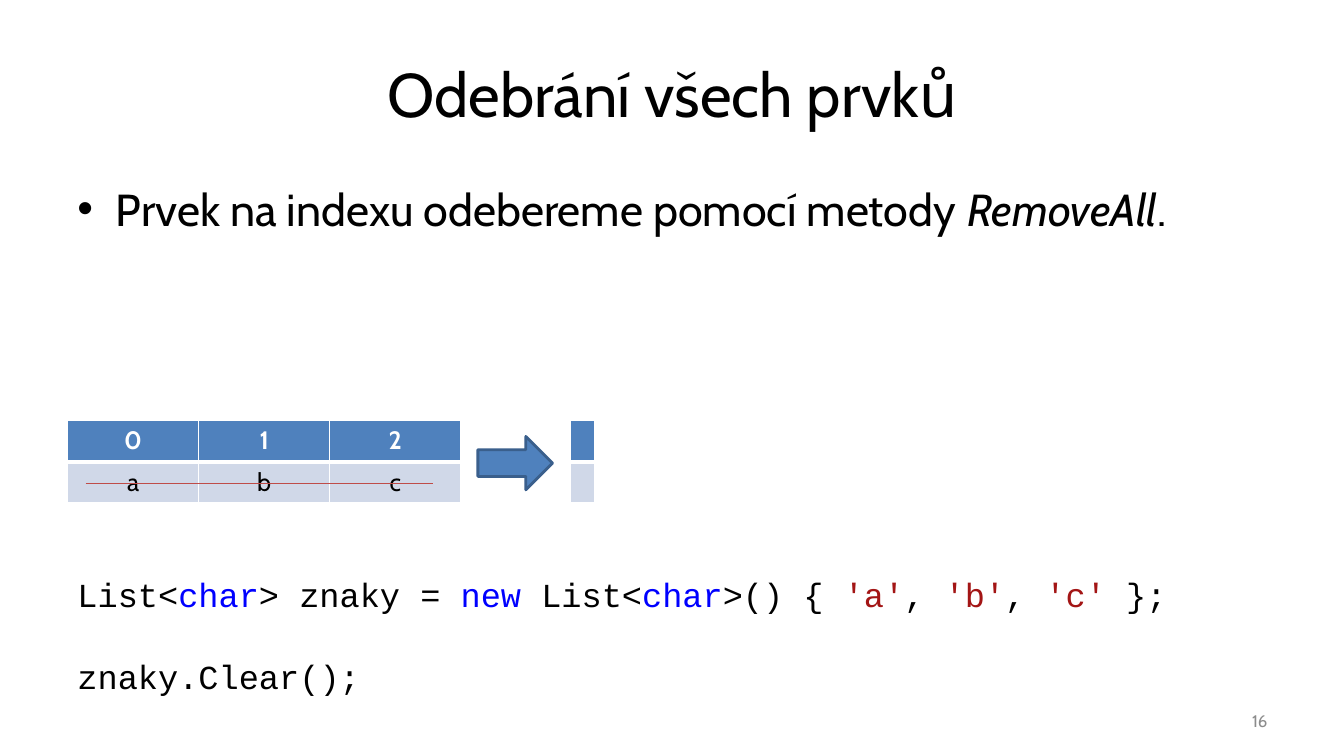
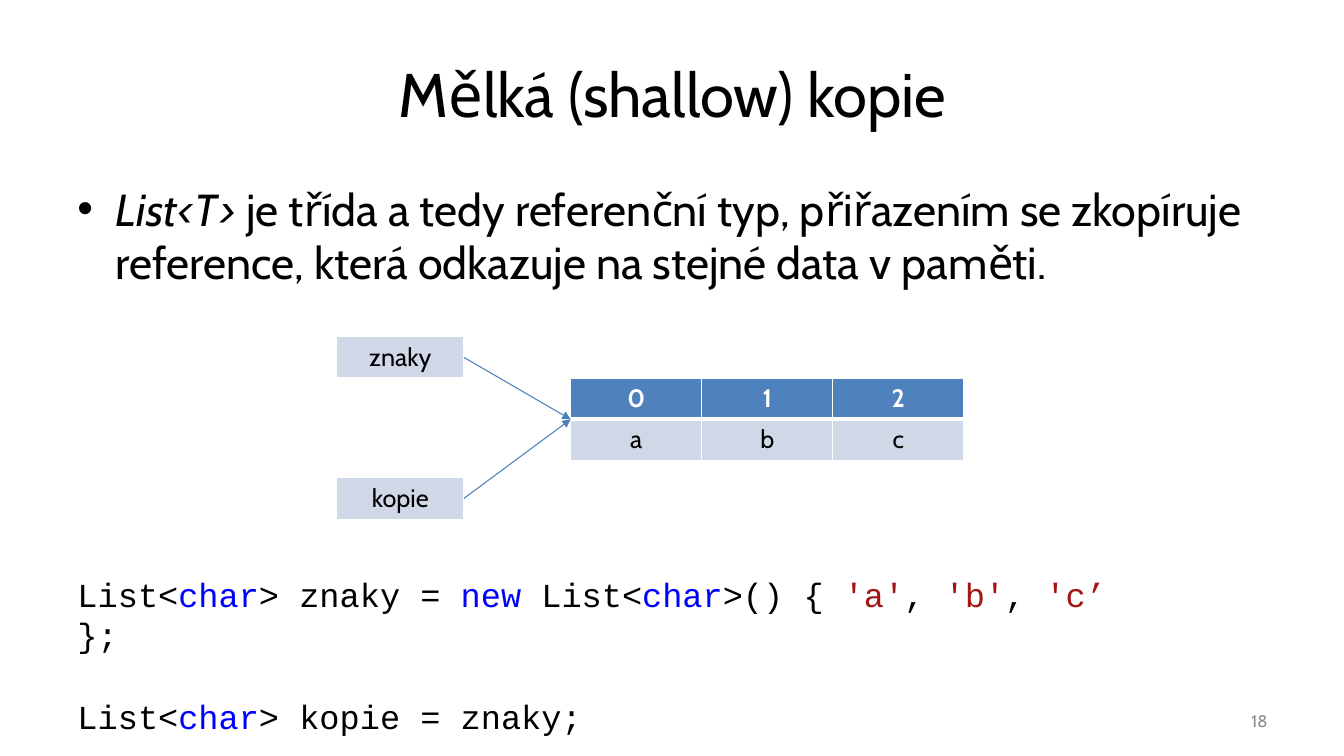
from dataclasses import dataclass

from lxml import etree
from pptx import Presentation
from pptx.dml.color import RGBColor
from pptx.enum import shapes, text
from pptx.oxml import ns
from pptx.util import Inches, Pt


@dataclass(frozen=True)
class Theme:
    font: str = "Cabin"
    code_font: str = "Courier New"
    title_size: int = 44
    body_size: int = 32
    code_size: int = 24
    cell_size: int = 18
    number_size: int = 12
    black: str = "000000"
    white: str = "FFFFFF"
    grey: str = "8C8C8C"
    header: str = "4F81BD"
    cell: str = "D0D8E8"
    arrow_edge: str = "3A5F8C"
    pointer: str = "4B7EBC"
    strike: str = "BF4C48"
    keyword: str = "0000FF"
    literal: str = "A31515"


THEME = Theme()
MARGIN, CONTENT_WIDTH = 0.67, 12
ROW_HEIGHT, COLUMN_WIDTH = 0.41, 1.3
RIGHT_TABLE_LEFT = 5.66
LABEL_LEFT, LABEL_WIDTH = 3.34, 1.26

PLAIN, KEYWORD, LITERAL = THEME.black, THEME.keyword, THEME.literal
LIST_GRID = [["0", "1", "2"], ["a", "b", "c"]]
EMPTY_GRID = [[""], [""]]


def declaration(last_literal):
    """Coloured runs of the line that creates the list."""
    return [
        ("List<", PLAIN), ("char", KEYWORD), ("> znaky = ", PLAIN),
        ("new", KEYWORD), (" List<", PLAIN), ("char", KEYWORD),
        (">() { ", PLAIN), ("'a'", LITERAL), (", ", PLAIN),
        ("'b'", LITERAL), (", ", PLAIN), (last_literal, LITERAL),
        (" };", PLAIN),
    ]


REMOVE_ALL = {
    "title": "Odebrání všech prvků",
    "bullet": [("Prvek na indexu odebereme pomocí metody ", False),
               ("RemoveAll", True), (".", False)],
    "number": "16",
    "code_width": 11.2,
    "code": [declaration("'c'"), [("znaky.Clear();", PLAIN)]],
}
SHALLOW_COPY = {
    "title": "Mělká (shallow) kopie",
    "bullet": [("List<T>", True),
               (" je třída a tedy referenční typ, přiřazením se zkopíruje "
                "reference, která odkazuje na stejné data v paměti.", False)],
    "number": "18",
    "code_width": 10.41,
    "code": [declaration("'c’"),
             [("List<", PLAIN), ("char", KEYWORD), ("> kopie = znaky;", PLAIN)]],
}
REFERENCES = [("znaky", 3.34), ("kopie", 4.74)]


def rgb(color):
    return RGBColor.from_string(color)


def add_span(para, words, size, color=THEME.black, font=THEME.font,
             bold=False, italic=False):
    span = para.add_run()
    span.text = words
    span.font.name, span.font.size = font, Pt(size)
    span.font.color.rgb = rgb(color)
    span.font.bold, span.font.italic = bold, italic


def add_box(page, left, top, width, height, anchor=text.MSO_ANCHOR.TOP):
    box = page.shapes.add_textbox(*map(Inches, (left, top, width, height)))
    box.text_frame.word_wrap = True
    box.text_frame.vertical_anchor = anchor
    return box.text_frame


def add_bullet(para):
    props = para._p.get_or_add_pPr()
    props.set("marL", str(Inches(0.38)))
    props.set("indent", str(Inches(-0.38)))
    etree.SubElement(props, ns.qn("a:buFont")).set("typeface", "Arial")
    etree.SubElement(props, ns.qn("a:buChar")).set("char", "•")


def set_borders(cell, top, bottom):
    """White borders; top and bottom are widths in points."""
    props = cell._tc.get_or_add_tcPr()
    widths = {"lnL": 1, "lnR": 1, "lnT": top, "lnB": bottom}
    for place, (tag, width) in enumerate(widths.items()):
        edge = etree.Element(ns.qn("a:" + tag), w=str(Pt(width)))
        fill = etree.SubElement(edge, ns.qn("a:solidFill"))
        etree.SubElement(fill, ns.qn("a:srgbClr")).set("val", THEME.white)
        props.insert(place, edge)


def add_grid(page, grid, left, top, column_width, has_header=True):
    rows, columns = len(grid), len(grid[0])
    table = page.shapes.add_table(
        rows, columns, Inches(left), Inches(top),
        Inches(column_width * columns), Inches(ROW_HEIGHT * rows)).table
    table.first_row, table.horz_banding = has_header, False
    for column in table.columns:
        column.width = Inches(column_width)
    for row, values in enumerate(grid):
        is_header = has_header and row == 0
        for column, value in enumerate(values):
            cell = table.cell(row, column)
            cell.fill.solid()
            cell.fill.fore_color.rgb = rgb(THEME.header if is_header else THEME.cell)
            set_borders(cell, top=3 if has_header and row == 1 else 1,
                        bottom=3 if is_header else 1)
            if value:
                para = cell.text_frame.paragraphs[0]
                para.alignment = text.PP_ALIGN.CENTER
                add_span(para, value, THEME.cell_size,
                         THEME.white if is_header else THEME.black, bold=is_header)


def add_line(page, start, end, color, arrowhead=False):
    line = page.shapes.add_connector(
        shapes.MSO_CONNECTOR.STRAIGHT, *map(Inches, (*start, *end)))
    line.line.color.rgb = rgb(color)
    line.line.width = Pt(0.75)
    if arrowhead:
        etree.SubElement(line.line._get_or_add_ln(),
                         ns.qn("a:tailEnd")).set("type", "triangle")
    etree.SubElement(line._element.spPr, ns.qn("a:effectLst"))


def add_page(deck, content):
    """Page with the shared title, bullet, page number and code."""
    page = deck.slides.add_slide(deck.slide_layouts[6])
    middle = text.MSO_ANCHOR.MIDDLE

    title = add_box(page, MARGIN, 0.3, CONTENT_WIDTH, 1.25, middle).paragraphs[0]
    title.alignment = text.PP_ALIGN.CENTER
    add_span(title, content["title"], THEME.title_size)

    bullet = add_box(page, MARGIN, 1.75, CONTENT_WIDTH, 1.25).paragraphs[0]
    add_bullet(bullet)
    for words, italic in content["bullet"]:
        add_span(bullet, words, THEME.body_size, italic=italic)

    number = add_box(page, 9.56, 6.95, 3.11, 0.4, middle).paragraphs[0]
    number.alignment = text.PP_ALIGN.RIGHT
    add_span(number, content["number"], THEME.number_size, THEME.grey)

    code = add_box(page, MARGIN, 5.64, content["code_width"], 1.31)
    for index, spans in enumerate(content["code"]):
        para = code.add_paragraph() if index else code.paragraphs[0]
        if index:
            para.space_before = Pt(30)
        for words, color in spans:
            add_span(para, words, THEME.code_size, color, THEME.code_font)
    return page


def build_remove_all(deck):
    page = add_page(deck, REMOVE_ALL)
    top = 4.17
    add_grid(page, LIST_GRID, MARGIN, top, COLUMN_WIDTH)
    add_grid(page, EMPTY_GRID, RIGHT_TABLE_LEFT, top, 0.23)

    arrow = page.shapes.add_shape(
        shapes.MSO_SHAPE.RIGHT_ARROW, *map(Inches, (4.74, 4.33, 0.74, 0.53)))
    arrow.shadow.inherit = False
    arrow.fill.solid()
    arrow.fill.fore_color.rgb = rgb(THEME.header)
    arrow.line.color.rgb = rgb(THEME.arrow_edge)
    arrow.line.width = Pt(2)

    add_line(page, (0.85, 4.8), (4.29, 4.8), THEME.strike)


def build_shallow_copy(deck):
    page = add_page(deck, SHALLOW_COPY)
    top = 3.75
    add_grid(page, LIST_GRID, RIGHT_TABLE_LEFT, top, COLUMN_WIDTH)
    target = (RIGHT_TABLE_LEFT, top + ROW_HEIGHT)
    for name, label_top in REFERENCES:
        add_grid(page, [[name]], LABEL_LEFT, label_top, LABEL_WIDTH, has_header=False)
        start = (LABEL_LEFT + LABEL_WIDTH, label_top + ROW_HEIGHT / 2)
        add_line(page, start, target, THEME.pointer, arrowhead=True)


def main():
    deck = Presentation()
    deck.slide_width, deck.slide_height = Inches(13.33), Inches(7.5)
    build_remove_all(deck)
    build_shallow_copy(deck)
    deck.save("out.pptx")


if __name__ == "__main__":
    main()
